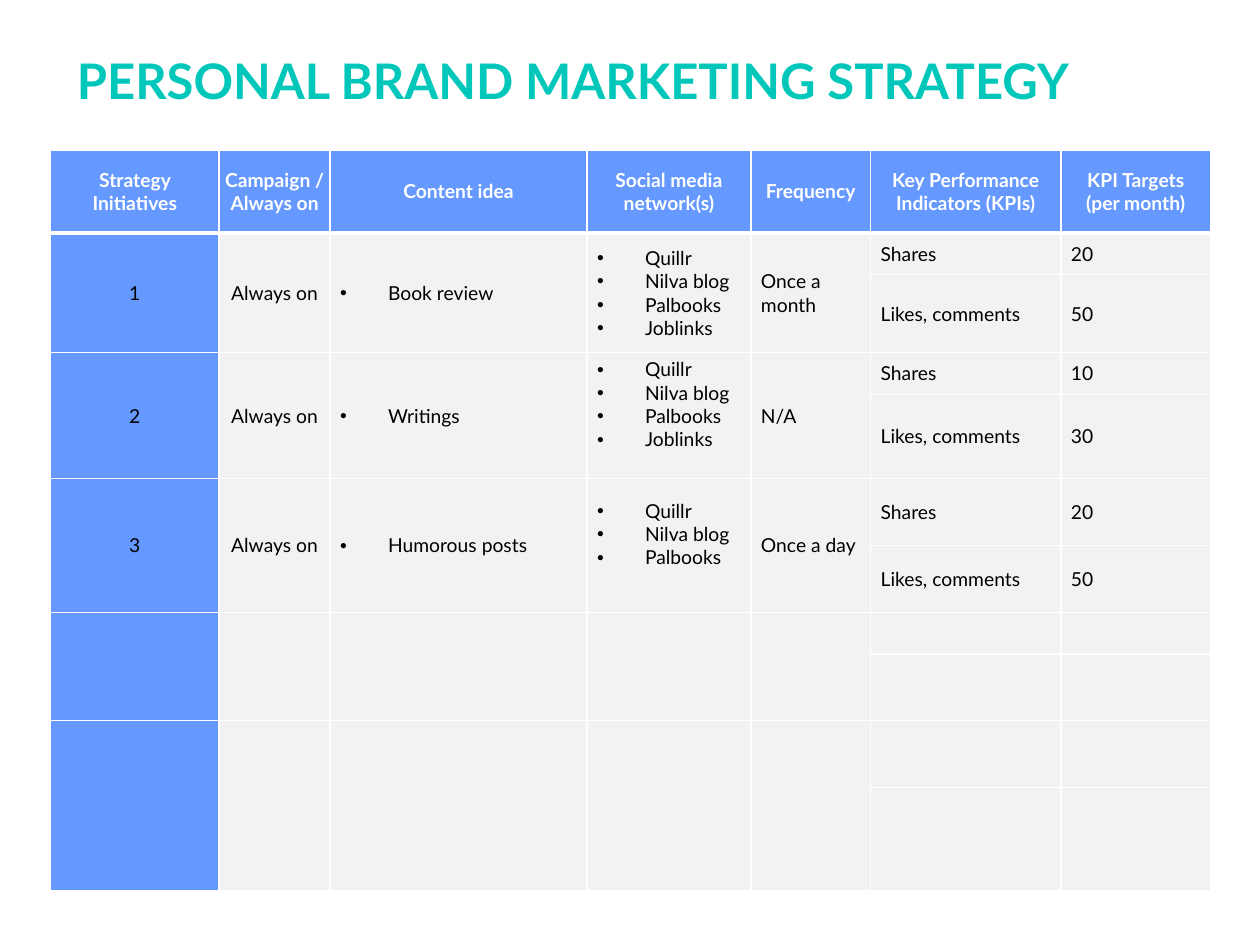
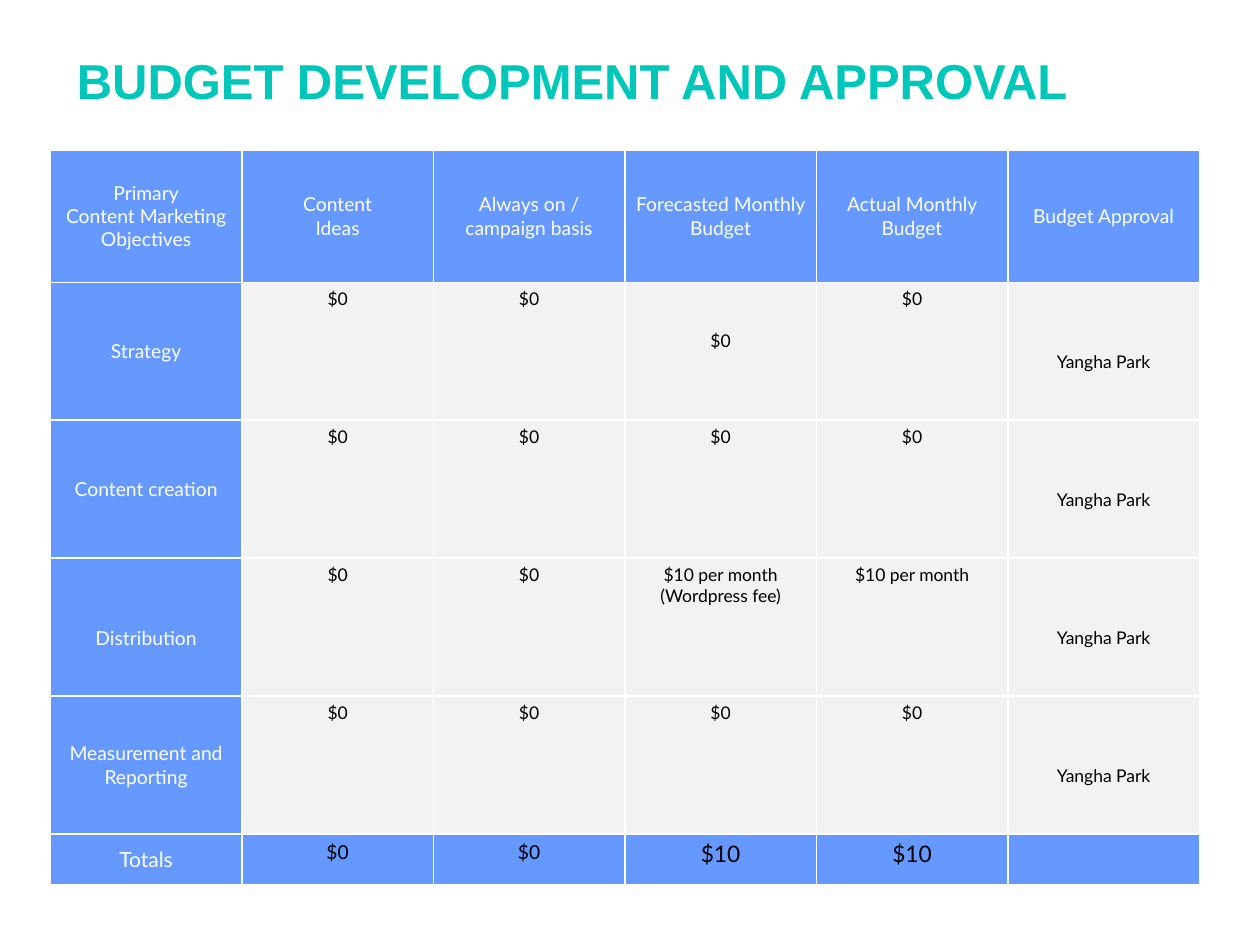
from dataclasses import dataclass

from lxml import etree
from pptx import Presentation
from pptx.dml.color import RGBColor
from pptx.enum.text import MSO_ANCHOR, MSO_AUTO_SIZE, PP_ALIGN
from pptx.oxml.ns import qn
from pptx.util import Inches, Pt

TOP, MIDDLE = MSO_ANCHOR.TOP, MSO_ANCHOR.MIDDLE
LEFT, CENTER = PP_ALIGN.LEFT, PP_ALIGN.CENTER
NO_AUTOFIT = MSO_AUTO_SIZE.NONE
TITLE_ONLY = 5


@dataclass(frozen=True)
class Theme:
    """Colours, fonts and type sizes shared by the slides."""

    title: str = "00C7BA"
    blue: str = "6699FF"
    grey: str = "F2F2F2"
    white: str = "FFFFFF"
    black: str = "000000"
    body_font: str = "Lato"
    title_font: str = "Arial"
    title_size: int = 28
    label_size: int = 11
    amount_size: int = 10
    totals_size: int = 12
    grand_total_size: int = 13
    border: int = 1
    header_border: int = 3


THEME = Theme()
TABLE_LEFT, TABLE_TOP = 0.4, 1.19
BULLET_INDENT = 0.38
LABEL_LINE = 0.18
AMOUNT_LINE = 1 / 6
BUDGET_INSETS = (0.1, 0.05, 0.1, 0.05)
STRATEGY_INSETS = (0.08, 0.04, 0.08, 0.04)
NO_INSETS = (0, 0, 0, 0)

STRATEGY_COLUMNS = [1.34, 0.88, 2.04, 1.3, 0.95, 1.51, 1.19]
STRATEGY_ROWS = [0.66, 0.33, 0.62, 0.33, 0.62, 0.53, 0.53, 0.33, 0.53, 0.53, 0.82]
STRATEGY_HEADERS = [
    "Strategy Initiatives", "Campaign / Always on", "Content idea",
    "Social media network(s)", "Frequency",
    "Key Performance Indicators (KPIs)", "KPI Targets (per month)",
]
NETWORKS = ["Quillr", "Nilva blog", "Palbooks", "Joblinks"]
INITIATIVES = [
    ("Book review", NETWORKS, "Once a month", ("20", "50"), 0),
    ("Writings", NETWORKS, "N/A", ("10", "30"), LABEL_LINE),
    ("Humorous posts", NETWORKS[:3], "Once a day", ("20", "50"), LABEL_LINE),
]
KPIS = ("Shares", "Likes, comments")
MERGED_COLUMNS = 5

BUDGET_HEIGHT, BUDGET_HEADER, BUDGET_FOOTER = 5.83, 1.05, 0.4
BUDGET_HEADERS = [
    "Primary\nContent Marketing Objectives", "Content\nIdeas",
    "Always on / campaign basis", "Forecasted Monthly Budget",
    "Actual Monthly Budget", "Budget Approval",
]
APPROVER = "Yangha Park"
OBJECTIVES = [
    ("Strategy", ["$0", "$0", "$0", "$0"]),
    ("Content creation", ["$0", "$0", "$0", "$0"]),
    ("Distribution", ["$0", "$0", "$10 per month\n(Wordpress fee)", "$10 per month"]),
    ("Measurement and\nReporting", ["$0", "$0", "$0", "$0"]),
]
OBJECTIVE_HEIGHT = (BUDGET_HEIGHT - BUDGET_HEADER - BUDGET_FOOTER) / len(OBJECTIVES)
BUDGET_COLUMNS = [1.52] * len(BUDGET_HEADERS)
BUDGET_ROWS = [BUDGET_HEADER] + [OBJECTIVE_HEIGHT] * len(OBJECTIVES) + [BUDGET_FOOTER]
TOTALS = ["$0", "$0", "$10", "$10"]
EXTRA_TOP = {("Strategy", 3): 2 * AMOUNT_LINE, ("Distribution", 0): LABEL_LINE}


def apply_format(target, values):
    """Set each named attribute of the target."""
    for name, value in values.items():
        setattr(target, name, value)


def format_font(font, name, size, color, bold):
    """Set the face, size, weight and colour of a font."""
    apply_format(font, {"name": name, "size": Pt(size), "bold": bold})
    font.color.rgb = RGBColor.from_string(color)


def add_title(slide, text, width, font_name):
    """Place and format the slide title."""
    title = slide.shapes.title
    apply_format(title, {"left": Inches(0.51), "top": Inches(0.35),
                         "width": Inches(width), "height": Inches(0.57)})
    frame = title.text_frame
    apply_format(frame, {"text": text, "word_wrap": True, "auto_size": NO_AUTOFIT,
                         "vertical_anchor": MIDDLE})
    paragraph = frame.paragraphs[0]
    paragraph.alignment = LEFT
    format_font(paragraph.runs[0].font, font_name, THEME.title_size, THEME.title, True)


def add_grid(slide, columns, rows):
    """Add a plain table with the given column widths and row heights."""
    frame = slide.shapes.add_table(
        len(rows), len(columns), Inches(TABLE_LEFT), Inches(TABLE_TOP),
        Inches(sum(columns)), Inches(sum(rows)))
    table = frame.table
    apply_format(table, {"first_row": False, "horz_banding": False})
    for column, width in zip(table.columns, columns):
        column.width = Inches(width)
    for row, height in zip(table.rows, rows):
        row.height = Inches(height)
    return table


def add_borders(cell, bottom):
    """Draw white borders round a cell."""
    properties = cell._tc.get_or_add_tcPr()
    for side in "LRTB":
        width = bottom if side == "B" else THEME.border
        line = etree.SubElement(properties, qn(f"a:ln{side}"), w=str(Pt(width)))
        fill = etree.SubElement(line, qn("a:solidFill"))
        etree.SubElement(fill, qn("a:srgbClr"), val=THEME.white)


def add_bullet(paragraph):
    """Give a paragraph a hanging bullet."""
    properties = paragraph._p.get_or_add_pPr()
    indent = Inches(BULLET_INDENT)
    properties.set("marL", str(indent))
    properties.set("indent", str(-indent))
    etree.SubElement(properties, qn("a:buFont"), typeface="Arial")
    etree.SubElement(properties, qn("a:buChar"), char="•")


def fill_cell(cell, text="", fill=THEME.grey, color=THEME.black, size=THEME.label_size,
              bold=False, align=LEFT, anchor=MIDDLE, insets=STRATEGY_INSETS,
              bullets=False, bottom=THEME.border):
    """Write and format one table cell."""
    add_borders(cell, bottom)
    cell.fill.solid()
    cell.fill.fore_color.rgb = RGBColor.from_string(fill)
    sides = ("margin_left", "margin_top", "margin_right", "margin_bottom")
    apply_format(cell, {side: Inches(inset) for side, inset in zip(sides, insets)})
    cell.vertical_anchor = anchor
    cell.text_frame.text = text
    for paragraph in cell.text_frame.paragraphs:
        paragraph.alignment = align
        if bullets:
            add_bullet(paragraph)
        for run in paragraph.runs:
            format_font(run.font, THEME.body_font, size, color, bold)
        if not text:
            etree.SubElement(paragraph._p, qn("a:endParaRPr"), sz=str(size * 100))


def strategy_cells():
    """Return the text and format of each filled body cell by row and column."""
    cells = {}
    for index, (idea, networks, frequency, targets, space_below) in enumerate(INITIATIVES):
        row = 1 + 2 * index
        left, top, right, bottom = STRATEGY_INSETS
        cells[row, 0] = {"text": str(index + 1), "align": CENTER}
        cells[row, 1] = {"text": "Always on", "align": CENTER, "insets": NO_INSETS}
        cells[row, 2] = {"text": idea, "bullets": True}
        cells[row, 3] = {"text": "\n".join(networks), "bullets": True,
                         "insets": (left, top, right, bottom + space_below)}
        cells[row, 4] = {"text": frequency}
        for offset, (kpi, target) in enumerate(zip(KPIS, targets)):
            cells[row + offset, 5] = {"text": kpi}
            cells[row + offset, 6] = {"text": target}
    return cells


def build_strategy(slide):
    """Build the marketing strategy slide."""
    add_title(slide, "PERSONAL BRAND MARKETING STRATEGY", 8.83, THEME.body_font)
    table = add_grid(slide, STRATEGY_COLUMNS, STRATEGY_ROWS)
    for column, text in enumerate(STRATEGY_HEADERS):
        fill_cell(table.cell(0, column), text, THEME.blue, THEME.white, bold=True,
                  align=CENTER, insets=NO_INSETS if column == 1 else STRATEGY_INSETS,
                  bottom=THEME.header_border)
    cells = strategy_cells()
    for row in range(1, len(STRATEGY_ROWS)):
        for column in range(len(STRATEGY_COLUMNS)):
            fill_cell(table.cell(row, column), fill=THEME.grey if column else THEME.blue,
                      **cells.get((row, column), {}))
    for row in range(1, len(STRATEGY_ROWS), 2):
        for column in range(MERGED_COLUMNS):
            table.cell(row, column).merge(table.cell(row + 1, column))


def build_budget(slide):
    """Build the budget slide."""
    add_title(slide, "BUDGET DEVELOPMENT AND APPROVAL", 9.01, THEME.title_font)
    table = add_grid(slide, BUDGET_COLUMNS, BUDGET_ROWS)
    label = {"fill": THEME.blue, "color": THEME.white, "align": CENTER}
    left, top, right, bottom = BUDGET_INSETS
    for column, text in enumerate(BUDGET_HEADERS):
        fill_cell(table.cell(0, column), text, **label,
                  insets=NO_INSETS if column > 2 else BUDGET_INSETS)
    for row, (objective, amounts) in enumerate(OBJECTIVES, 1):
        for column, text in enumerate([objective, *amounts, APPROVER]):
            extra = 3 * AMOUNT_LINE if text == APPROVER else EXTRA_TOP.get((objective, column), 0)
            style = {"size": THEME.amount_size, "align": CENTER, "anchor": TOP}
            fill_cell(table.cell(row, column), text, **(style if column else label),
                      insets=(left, top + extra, right, bottom))
    last_row = len(BUDGET_ROWS) - 1
    fill_cell(table.cell(last_row, 0), "Totals", **label, size=THEME.totals_size,
              insets=BUDGET_INSETS)
    for column, text in enumerate([*TOTALS, ""], 1):
        size = THEME.grand_total_size if text == "$10" else THEME.label_size
        fill_cell(table.cell(last_row, column), text, THEME.blue, size=size, align=CENTER,
                  anchor=TOP, insets=BUDGET_INSETS)


def main():
    """Build and save the presentation."""
    presentation = Presentation()
    presentation.slide_width, presentation.slide_height = Inches(10), Inches(7.5)
    for build in (build_strategy, build_budget):
        build(presentation.slides.add_slide(presentation.slide_layouts[TITLE_ONLY]))
    presentation.save("out.pptx")


if __name__ == "__main__":
    main()
